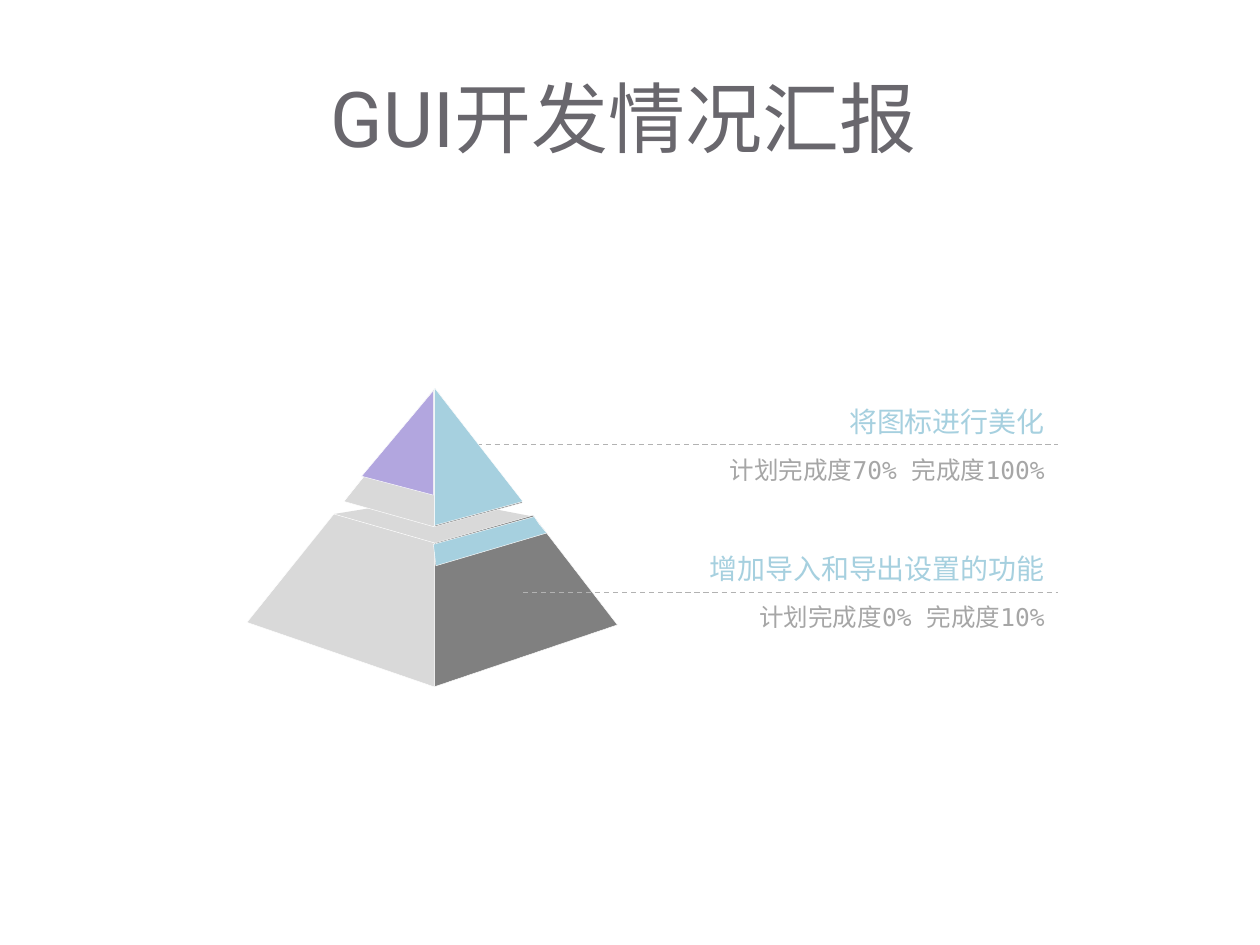
"""Build a progress slide with a faceted pyramid and two labelled milestones."""
from dataclasses import dataclass

import pptx
import pptx.dml.color
import pptx.enum.dml
import pptx.enum.shapes
import pptx.enum.text
import pptx.oxml
import pptx.util

Inches = pptx.util.Inches
RGB = pptx.dml.color.RGBColor.from_string
Align = pptx.enum.text.PP_ALIGN
Anchor = pptx.enum.text.MSO_ANCHOR


@dataclass(frozen=True)
class Theme:
    title: str = "69676D"
    blue: str = "A6D0DF"
    purple: str = "B2A6DF"
    light: str = "D9D9D9"
    dark: str = "808080"
    rule: str = "B2B2B2"
    note: str = "A6A6A6"
    edge: str = "FFFFFF"
    sans: str = "Roboto"
    mono: str = "DejaVu Sans Mono"
    title_pt: int = 44
    head_pt: int = 16
    note_pt: int = 14
    edge_pt: float = 0.25
    rule_pt: float = 0.75


@dataclass(frozen=True)
class Facet:
    points: tuple
    color: str
    edged: bool = True


@dataclass(frozen=True)
class Milestone:
    head: str
    note: str
    rule_x: float
    rule_y: float


T = Theme()
RIGHT = 8.4
TEXT_X, TEXT_W = 5.06, 3.33

PYRAMID = (
    Facet(((2.65, 4.08), (3.45, 4.31), (4.23, 4.1), (3.45, 3.95)), T.light, False),
    Facet(((3.45, 4.31), (2.65, 4.08), (1.96, 4.94), (3.44, 5.45), (3.45, 5.45)), T.light),
    Facet(((4.23, 4.09), (3.45, 4.31), (3.45, 5.45), (4.9, 4.96)), T.dark),
    Facet(((4.15, 3.99), (3.45, 3.08), (3.45, 4.18)), T.dark),
    Facet(((2.73, 3.98), (3.44, 4.18), (3.45, 4.17), (3.45, 3.08)), T.light),
)
PROGRESS = (
    Facet(((4.15, 3.98), (3.45, 3.08), (3.45, 4.17)), T.blue),
    Facet(((2.87, 3.78), (3.44, 3.93), (3.44, 3.1)), T.purple),
    Facet(((4.24, 4.1), (3.44, 4.32), (3.46, 4.49), (4.34, 4.23), (4.28, 4.16)), T.blue),
)
MILESTONES = (
    Milestone("增加导入和导出设置的功能", "计划完成度0% 完成度10%", 4.15, 4.7),
    Milestone("将图标进行美化", "计划完成度70% 完成度100%", 3.64, 3.53),
)


def write(tf, text: str, font: str, size: int, color: str, align) -> None:
    """Fill a text frame with one formatted paragraph."""
    p = tf.paragraphs[0]
    p.text = text
    p.alignment = align
    p.font.name = font
    p.font.size = pptx.util.Pt(size)
    p.font.color.rgb = RGB(color)


def draw_facet(s, facet: Facet) -> None:
    """Draw one face of the pyramid."""
    first, *rest = [(round(x * 100), round(y * 100)) for x, y in facet.points]
    builder = s.shapes.build_freeform(*first, scale=Inches(1) / 100)
    builder.add_line_segments(rest, close=True)
    sp = builder.convert_to_shape()
    sp.shadow.inherit = False
    sp.fill.solid()
    sp.fill.fore_color.rgb = RGB(facet.color)
    if facet.edged:
        sp.line.color.rgb = RGB(T.edge)
        sp.line.width = pptx.util.Pt(T.edge_pt)
    else:
        sp.line.fill.background()


def draw_label(s, y: float, h: float, text: str, font: str, size: int, color: str, anchor) -> None:
    """Draw a right-aligned label in the text column."""
    sp = s.shapes.add_textbox(Inches(TEXT_X), Inches(y), Inches(TEXT_W), Inches(h))
    tf = sp.text_frame
    tf.word_wrap = True
    tf.auto_size = pptx.enum.text.MSO_AUTO_SIZE.SHAPE_TO_FIT_TEXT
    tf.vertical_anchor = anchor
    write(tf, text, font, size, color, Align.RIGHT)


def draw_milestone(s, m: Milestone) -> None:
    """Draw a dashed rule with a heading above and a note below."""
    y = Inches(m.rule_y)
    rule = s.shapes.add_connector(
        pptx.enum.shapes.MSO_CONNECTOR.STRAIGHT, Inches(m.rule_x), y, Inches(RIGHT), y)
    rule.line.color.rgb = RGB(T.rule)
    rule.line.width = pptx.util.Pt(T.rule_pt)
    rule.line.dash_style = pptx.enum.dml.MSO_LINE.DASH
    rule._element.spPr.append(pptx.oxml.parse_xml(
        '<a:effectLst xmlns:a="http://schemas.openxmlformats.org/drawingml/2006/main"/>'))
    draw_label(s, m.rule_y - 0.37, 0.37, m.head, T.sans, T.head_pt, T.blue, Anchor.TOP)
    draw_label(s, m.rule_y + 0.02, 0.35, m.note, T.mono, T.note_pt, T.note, Anchor.MIDDLE)


def draw_title(s, text: str) -> None:
    """Place and format the title placeholder."""
    sp = s.shapes.title
    sp.left, sp.top, sp.width, sp.height = map(Inches, (0.45, 0.3, 9, 1.25))
    sp.text_frame.vertical_anchor = Anchor.MIDDLE
    write(sp.text_frame, text, T.sans, T.title_pt, T.title, Align.CENTER)


def main() -> None:
    """Assemble and save the slide."""
    prs = pptx.Presentation()
    prs.slide_width, prs.slide_height = Inches(10), Inches(7.5)
    s = prs.slides.add_slide(prs.slide_layouts[5])
    draw_title(s, "GUI开发情况汇报")
    for facet in PYRAMID:
        draw_facet(s, facet)
    for milestone in MILESTONES:
        draw_milestone(s, milestone)
    for facet in PROGRESS:
        draw_facet(s, facet)
    prs.save("out.pptx")


if __name__ == "__main__":
    main()
